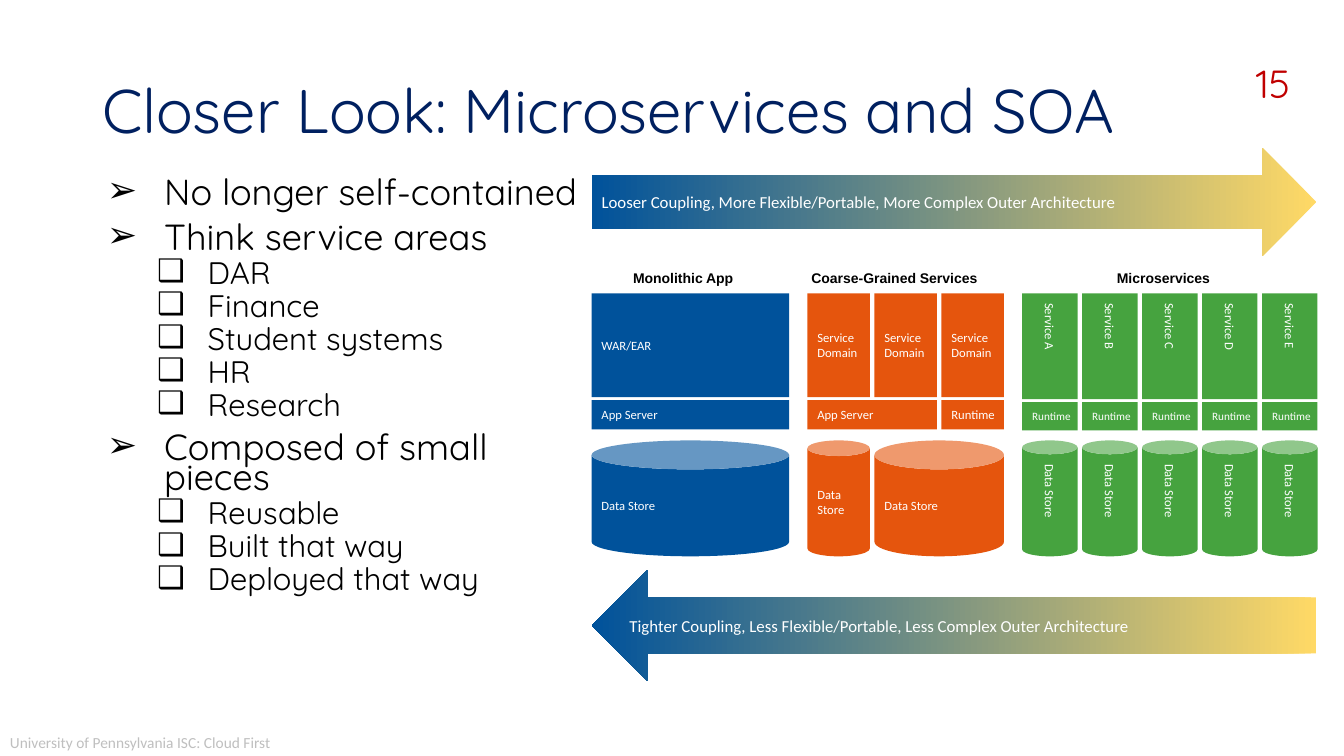
from lxml import etree
from pptx import Presentation
from pptx.dml.color import RGBColor
from pptx.enum.shapes import MSO_SHAPE
from pptx.enum.text import MSO_ANCHOR, MSO_AUTO_SIZE, PP_ALIGN
from pptx.oxml.ns import qn
from pptx.util import Pt

RECT = MSO_SHAPE.RECTANGLE
CAN = MSO_SHAPE.CAN
RIGHT = MSO_SHAPE.RIGHT_ARROW
LEFT = MSO_SHAPE.LEFT_ARROW
TOP = MSO_ANCHOR.TOP
MIDDLE = MSO_ANCHOR.MIDDLE
FIXED = MSO_AUTO_SIZE.NONE
GROW = MSO_AUTO_SIZE.SHAPE_TO_FIT_TEXT
START = PP_ALIGN.LEFT
END = PP_ALIGN.RIGHT

BLUE = RGBColor(0x00, 0x52, 0x9B)
ORANGE = RGBColor(0xE5, 0x55, 0x0D)
GREEN = RGBColor(0x46, 0xA3, 0x3F)
YELLOW = RGBColor(0xFF, 0xD9, 0x66)
NAVY = RGBColor(0x00, 0x20, 0x60)
RED = RGBColor(0xC0, 0x00, 0x00)
GREY = RGBColor(0xBF, 0xBF, 0xBF)
BLACK = RGBColor(0, 0, 0)
WHITE = RGBColor(255, 255, 255)

HEAD = "Quicksand"
PLAIN = "Calibri"
LABEL = "Arial"

LEVELS = [
    {"mark": "➢", "left": 41, "hang": 41, "size": 25.9, "gap": 10},
    {"mark": "❑", "left": 72, "hang": 36, "size": 22.2, "gap": 5},
]
POINTS = [
    (0, "No longer self-contained"),
    (0, "Think service areas"),
    (1, "DAR"),
    (1, "Finance"),
    (1, "Student systems"),
    (1, "HR"),
    (1, "Research"),
    (0, "Composed of small pieces"),
    (1, "Reusable"),
    (1, "Built that way"),
    (1, "Deployed that way"),
]


def apply(target, values):
    for name, value in values.items():
        setattr(target, name, value)


class Board:
    def __init__(self, slide):
        self.slide = slide

    def place(self, shape, box):
        names = ("left", "top", "width", "height")
        apply(shape, dict(zip(names, map(Pt, box))))

    def letter(self, para, text, font, size, color, bold=False):
        para.text = text
        for run in para.runs:
            apply(run.font, {"name": font, "size": Pt(size), "bold": bold})
            run.font.color.rgb = color

    def title(self, text, box):
        shape = self.slide.shapes.title
        self.place(shape, box)
        frame = shape.text_frame
        apply(frame, {"vertical_anchor": MIDDLE, "auto_size": FIXED})
        para = frame.paragraphs[0]
        apply(para, {"alignment": START, "line_spacing": 0.9})
        self.letter(para, text, HEAD, 44, NAVY)

    def points(self, items, box):
        shape = self.slide.placeholders[1]
        self.place(shape, box)
        frame = shape.text_frame
        apply(frame, {"vertical_anchor": TOP, "auto_size": FIXED, "word_wrap": True})
        for count, (level, text) in enumerate(items):
            para = frame.add_paragraph() if count else frame.paragraphs[0]
            style = LEVELS[level]
            gap = style["gap"] if count else 0
            self.bullet(para, style)
            apply(para, {"level": level, "line_spacing": 0.7,
                         "space_before": Pt(gap), "alignment": START})
            self.letter(para, text, HEAD, style["size"], BLACK)

    def bullet(self, para, style):
        props = para._p.get_or_add_pPr()
        props.set("marL", str(Pt(style["left"])))
        props.set("indent", str(-Pt(style["hang"])))
        etree.SubElement(props, qn("a:buFont")).set("typeface", LABEL)
        etree.SubElement(props, qn("a:buChar")).set("char", style["mark"])

    def label(self, text, box):
        frame = self.slide.shapes.add_textbox(*map(Pt, box)).text_frame
        apply(frame, {"margin_left": 0, "margin_right": 0, "margin_top": 0,
                      "word_wrap": False, "auto_size": GROW})
        self.letter(frame.paragraphs[0], text, LABEL, 10, BLACK, True)

    def note(self, text, box, font, size, color, form, align=START):
        frame = self.slide.shapes.add_textbox(*map(Pt, box)).text_frame
        apply(frame, form)
        frame.paragraphs[0].alignment = align
        self.letter(frame.paragraphs[0], text, font, size, color)

    def block(self, kind, text, box, color=None, size=9, turn=False):
        shape = self.slide.shapes.add_shape(kind, *map(Pt, box))
        shape.shadow.inherit = False
        shape.line.fill.background()
        if color is not None:
            shape.fill.solid()
            shape.fill.fore_color.rgb = color
        frame = shape.text_frame
        apply(frame, {"word_wrap": False, "vertical_anchor": MIDDLE})
        if turn:
            frame._txBody.bodyPr.set("vert", "vert")
        frame.paragraphs[0].alignment = START
        self.letter(frame.paragraphs[0], text, PLAIN, size, WHITE)
        return shape

    def arrow(self, kind, text, box):
        fill = self.block(kind, text, box, size=12).fill
        fill.gradient()
        fill.gradient_angle = 180
        for stop, color, point in zip(fill.gradient_stops, (YELLOW, BLUE), (0, 1)):
            stop.color.rgb = color
            stop.position = point


def main():
    deck = Presentation()
    apply(deck, {"slide_width": Pt(960), "slide_height": Pt(540)})
    board = Board(deck.slides.add_slide(deck.slide_layouts[1]))

    board.note("University of Pennsylvania ISC: Cloud First", (0, 519.8, 202.3, 20.9),
               PLAIN, 11, GREY, {"word_wrap": False, "auto_size": GROW})
    board.note("15", (879.8, 28.8, 49, 60.5), HEAD, 28, RED,
               {"word_wrap": True, "vertical_anchor": MIDDLE}, END)
    board.title("Closer Look: Microservices and SOA", (66, 28.8, 828, 104.4))
    board.points(POINTS, (69.1, 126, 354.2, 342.7))

    left, span = 422.6, 517.7
    board.arrow(RIGHT, "Looser Coupling, More Flexible/Portable, More Complex Outer Architecture",
                (left, 105.8, span, 77))
    board.arrow(LEFT, "Tighter Coupling, Less Flexible/Portable, Less Complex Outer Architecture",
                (left, 406.8, span, 79.9))

    for text, x, width in (("Monolithic App", 452.2, 82.1),
                           ("Coarse-Grained Services", 579.6, 133.9),
                           ("Microservices", 797.8, 74.9)):
        board.label(text, (x, 192.2, width, 16.6))

    app, server, store = (209.5, 74.2), (285.8, 20.9), (314.6, 82.8)

    for kind, text, (top, height) in ((RECT, "WAR/EAR", app),
                                      (RECT, "App Server", server),
                                      (CAN, "Data Store", store)):
        board.block(kind, text, (left, top, 141.1, height), BLUE)

    first, step, width = 576.7, 47.9, 44.6
    cells = [(RECT, "Service\vDomain", col, 1, app) for col in range(3)]
    cells += [
        (RECT, "App Server", 0, 2, server),
        (RECT, "Runtime", 2, 1, server),
        (CAN, "Data\vStore", 0, 1, store),
        (CAN, "Data Store", 1, 2, store),
    ]
    for kind, text, col, cols, (top, height) in cells:
        box = (first + col * step, top, width + (cols - 1) * step, height)
        board.block(kind, text, box, ORANGE)

    top, height = store
    for col, name in enumerate("ABCDE"):
        x, width = 730.1 + col * 42.85, 39.6
        board.block(RECT, f"Service {name}", (x, 209.5, width, 75.6), GREEN, turn=True)
        board.block(RECT, "Runtime", (x, 287.3, width, 20.2), GREEN, size=8)
        board.block(CAN, "Data Store", (x, top, width, height), GREEN, turn=True)

    deck.save("out.pptx")


if __name__ == "__main__":
    main()
